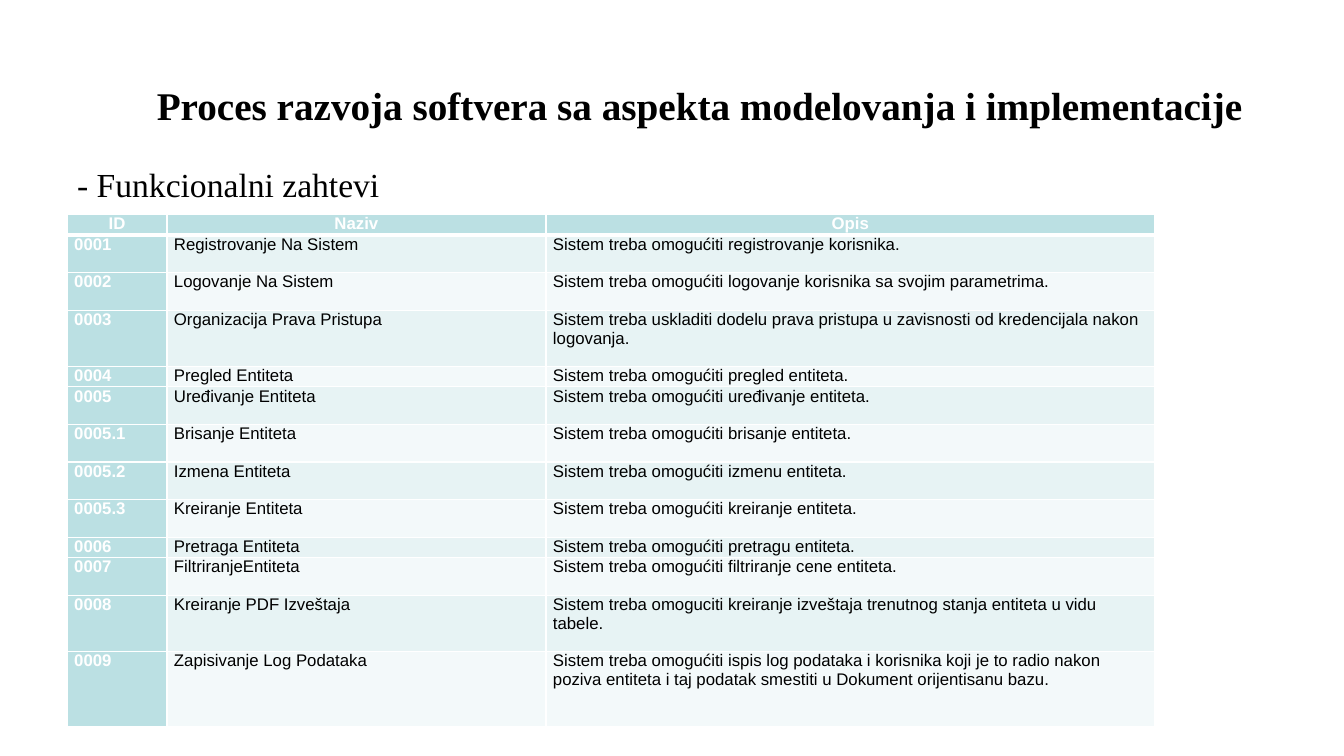
from dataclasses import dataclass
from lxml import etree
from pptx import Presentation, util as u
from pptx.dml.color import RGBColor
from pptx.enum import text as t
from pptx.oxml.ns import qn

WIDE, HIGH = u.Inches(13.33), u.Inches(7.5)
HUES = {"ink": "000000", "white": "FFFFFF", "head": "BBE0E3",
        "odd": "E7F3F4", "even": "F3F9FA"}
COLS = (7.42, 28.2, 45.3)
LINE, LEAST = 2.49, 2.67  # grid rows per text line, and the lowest table row
HEADS = ("ID", "Naziv", "Opis")


@dataclass
class Need:
    code: str
    name: str
    about: str
    lines: int = 2


@dataclass
class Font:
    face: str
    size: float
    hue: str
    bold: bool = False


NEEDS = [
    Need("0001", "Registrovanje Na Sistem", "Sistem treba omogućiti registrovanje korisnika."),
    Need("0002", "Logovanje Na Sistem",
         "Sistem treba omogućiti logovanje korisnika sa svojim parametrima."),
    Need("0003", "Organizacija Prava Pristupa",
         "Sistem treba uskladiti dodelu prava pristupa u zavisnosti od "
         "kredencijala nakon logovanja.", 3),
    Need("0004", "Pregled Entiteta", "Sistem treba omogućiti pregled entiteta.", 1),
    Need("0005", "Uređivanje Entiteta", "Sistem treba omogućiti uređivanje entiteta."),
    Need("0005.1", "Brisanje Entiteta", "Sistem treba omogućiti brisanje entiteta."),
    Need("0005.2", "Izmena Entiteta", "Sistem treba omogućiti izmenu entiteta."),
    Need("0005.3", "Kreiranje Entiteta", "Sistem treba omogućiti kreiranje entiteta."),
    Need("0006", "Pretraga Entiteta", "Sistem treba omogućiti pretragu entiteta.", 1),
    Need("0007", "FiltriranjeEntiteta", "Sistem treba omogućiti filtriranje cene entiteta."),
    Need("0008", "Kreiranje PDF Izveštaja",
         "Sistem treba omoguciti kreiranje izveštaja trenutnog stanja "
         "entiteta u vidu tabele.", 3),
    Need("0009", "Zapisivanje Log Podataka",
         "Sistem treba omogućiti ispis log podataka i korisnika koji je to radio nakon "
         "poziva entiteta i taj podatak smestiti u Dokument orijentisanu bazu.", 4),
]


def across(n: float) -> int:
    """Length of n columns of a grid of 100."""
    return round(WIDE * n / 100)


def down(n: float) -> int:
    """Length of n rows of a grid of 100."""
    return round(HIGH * n / 100)


def write(frame, words: str, font: Font, mid: bool = False) -> None:
    frame.text = words
    para = frame.paragraphs[0]
    para.alignment = t.PP_ALIGN.CENTER if mid else t.PP_ALIGN.LEFT
    style = para.runs[0].font
    style.name, style.size, style.bold = font.face, u.Pt(font.size), font.bold
    style.color.rgb = RGBColor.from_string(HUES[font.hue])


def label(slide, box: tuple, words: str, font: Font, mid: bool = False) -> None:
    x, y, w, h = box
    frame = slide.shapes.add_textbox(across(x), down(y), across(w), down(h)).text_frame
    frame.word_wrap = mid
    frame.vertical_anchor = t.MSO_ANCHOR.MIDDLE if mid else t.MSO_ANCHOR.TOP
    write(frame, words, font, mid)


def edge(cell, top: float, base: float) -> None:
    """Draw white borders; top and base are widths in points."""
    props = cell._tc.get_or_add_tcPr()
    for i, (side, width) in enumerate(zip("LRTB", (1, 1, top, base))):
        line = etree.Element(qn(f"a:ln{side}"), w=str(u.Pt(width)))
        fill = etree.SubElement(line, qn("a:solidFill"))
        etree.SubElement(fill, qn("a:srgbClr"), val=HUES["white"])
        props.insert(i, line)


def fill_cell(cell, words: str, row: int, col: int) -> None:
    key = row == 0 or col == 0
    cell.margin_left = cell.margin_right = u.Inches(0.07)
    cell.margin_top = cell.margin_bottom = 0
    write(cell.text_frame, words, Font("Arial", 12, "white" if key else "ink", key), row == 0)
    cell.fill.solid()
    hue = "head" if key else ("even", "odd")[row % 2]
    cell.fill.fore_color.rgb = RGBColor.from_string(HUES[hue])
    edge(cell, 3 if row == 1 else 1, 3 if row == 0 else 1)


def add_needs(slide) -> None:
    tall = [max(LEAST, n * LINE) for n in [1] + [need.lines for need in NEEDS]]
    table = slide.shapes.add_table(len(tall), len(COLS), across(5), down(28.4),
                                   across(sum(COLS)), down(sum(tall))).table
    for col, width in zip(table.columns, COLS):
        col.width = across(width)
    for row, height in zip(table.rows, tall):
        row.height = down(height)
    rows = [HEADS] + [(n.code, n.name, n.about) for n in NEEDS]
    for r, row in enumerate(rows):
        for c, words in enumerate(row):
            fill_cell(table.cell(r, c), words, r, c)


def main() -> None:
    deck = Presentation()
    deck.slide_width, deck.slide_height = WIDE, HIGH
    slide = deck.slides.add_slide(deck.slide_layouts[6])
    label(slide, (1.28, 6.8, 101.55, 14.27),
          "Proces razvoja softvera sa aspekta modelovanja i implementacije",
          Font("Times New Roman", 28, "ink", True), True)
    add_needs(slide)
    label(slide, (5, 21.07, 24.2, 6.67), "- Funkcionalni zahtevi",
          Font("Times New Roman", 24, "ink"))
    deck.save("out.pptx")


if __name__ == "__main__":
    main()
